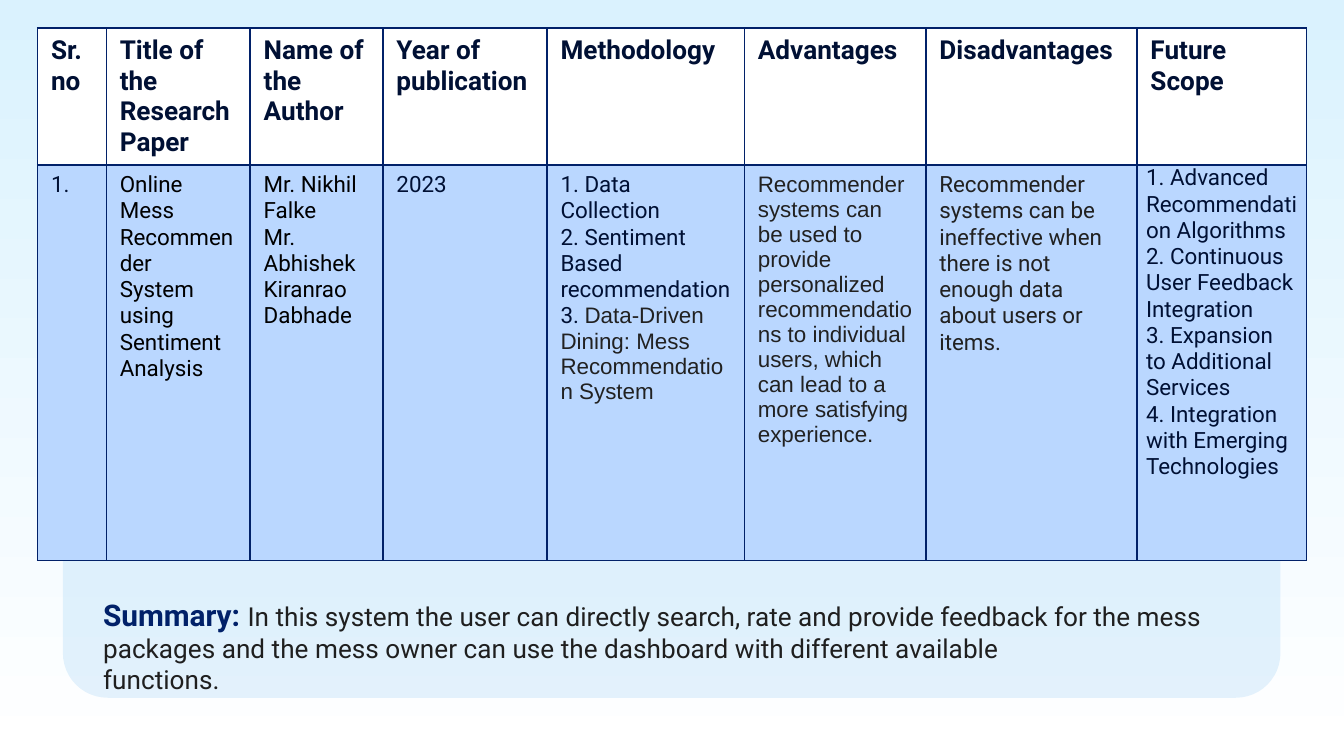
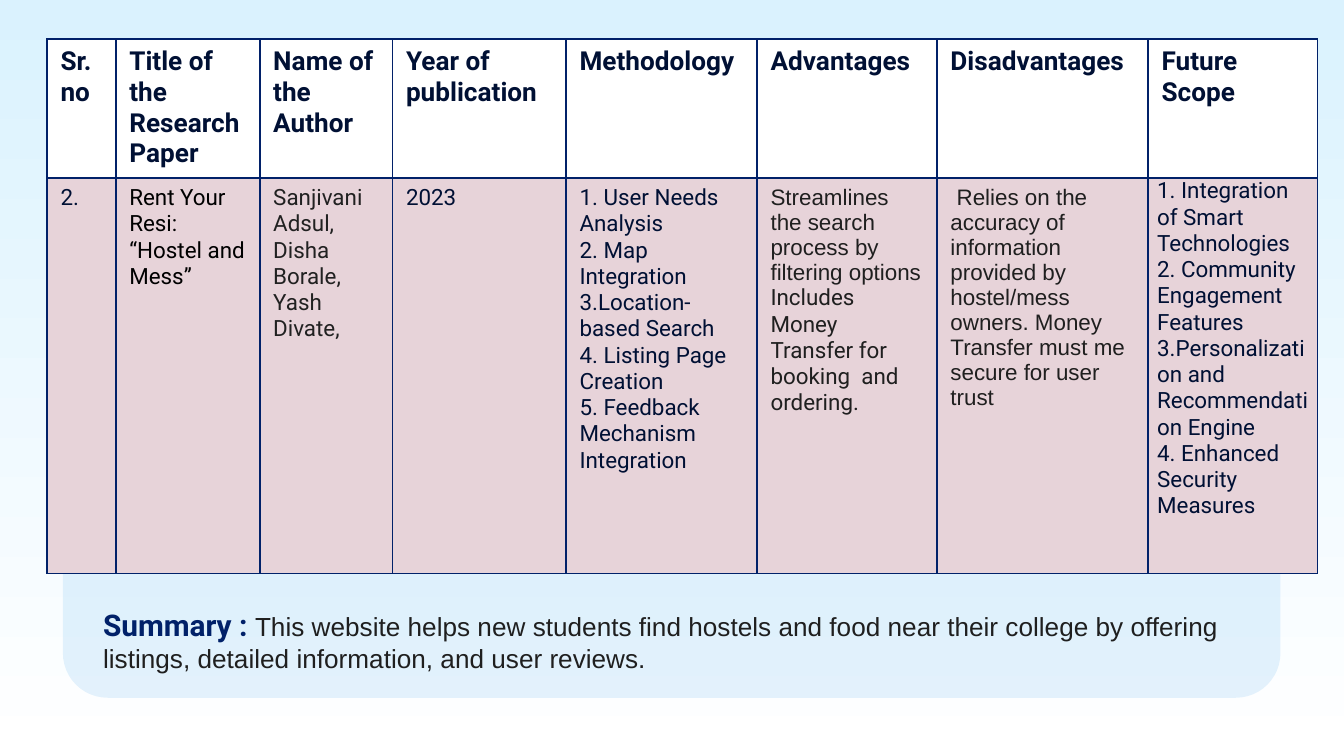
from dataclasses import dataclass

from lxml import etree
from pptx import Presentation
from pptx.dml.color import RGBColor
from pptx.enum.shapes import MSO_SHAPE
from pptx.enum.text import MSO_AUTO_SIZE, PP_ALIGN
from pptx.oxml.ns import qn
from pptx.util import Cm, Pt

ROUNDED = MSO_SHAPE.ROUNDED_RECTANGLE
GROW = MSO_AUTO_SIZE.SHAPE_TO_FIT_TEXT
JUSTIFY = PP_ALIGN.JUSTIFY

WHITE = RGBColor(0xFF, 0xFF, 0xFF)
BLACK = RGBColor(0x00, 0x00, 0x00)
SKY = RGBColor(0xDA, 0xF2, 0xFE)
PANEL_BLUE = RGBColor(0x03, 0x88, 0xE5)
NAVY = RGBColor(0x01, 0x21, 0x69)
INK = RGBColor(0x00, 0x10, 0x34)
GREY = RGBColor(0x21, 0x21, 0x21)
DARK_GREY = RGBColor(0x1F, 0x1F, 0x1F)
ROW_BLUE = RGBColor(0xBA, 0xD7, 0xFF)
ROW_PINK = RGBColor(0xE7, 0xD3, 0xD9)


@dataclass(frozen=True)
class Style:
    color: RGBColor
    name: str = "Roboto"
    size: float = 12
    bold: bool = False


@dataclass(frozen=True)
class Run:
    text: str
    style: Style


Lines = list[list[Run]]


@dataclass(frozen=True)
class PaperReview:
    """One reviewed paper; positions and sizes are in centimetres."""
    table_at: tuple[float, float]
    columns: list[float]
    rows: list[float]
    row_color: RGBColor
    cells: list[Lines]
    summary_box: tuple[float, float, float, float]
    summary: Lines


HEADER = Style(INK, size=14, bold=True)
BODY = Style(INK)
BODY_BLACK = Style(BLACK)
BODY_GREY = Style(GREY)
BODY_DARK = Style(DARK_GREY)
ARIAL_GREY = Style(GREY, "Arial")
ARIAL_DARK = Style(DARK_GREY, "Arial")
SUMMARY_LABEL = Style(NAVY, size=16, bold=True)
SUMMARY_TEXT = Style(DARK_GREY, size=14)
SUMMARY_ARIAL = Style(DARK_GREY, "Arial", 14)


def lines(style: Style, *texts: str) -> Lines:
    return [[Run(text, style)] for text in texts]


HEADINGS = ["Sr.no", "Title of the Research Paper", "Name of the Author",
            "Year of publication", "Methodology", "Advantages",
            "Disadvantages", "Future Scope"]

REVIEWS = [
    PaperReview(
        table_at=(0.71, 0.53),
        columns=[1.3, 2.72, 2.51, 3.1, 3.73, 3.43, 3.99, 3.2],
        rows=[2.41, 7.47],
        row_color=ROW_BLUE,
        cells=[
            lines(BODY, "1."),
            lines(BODY_BLACK, "Online Mess Recommender",
                  "System using Sentiment Analysis"),
            lines(BODY_BLACK, "Mr. Nikhil Falke",
                  "Mr. Abhishek Kiranrao Dabhade"),
            lines(BODY, "2023"),
            lines(BODY, "1. Data Collection",
                  "2. Sentiment Based recommendation")
            + [[Run("3. ", BODY),
                Run("Data-Driven Dining: Mess Recommendation System",
                    ARIAL_GREY)]],
            lines(ARIAL_GREY,
                  "Recommender systems can be used to provide personalized "
                  "recommendations to individual users, which can lead to a "
                  "more satisfying experience."),
            lines(BODY_GREY,
                  "Recommender systems can be ineffective when there is not "
                  "enough data about users or items."),
            lines(BODY, "1. Advanced Recommendation Algorithms",
                  "2. Continuous User Feedback Integration",
                  "3. Expansion to Additional Services",
                  "4. Integration with Emerging Technologies"),
        ],
        summary_box=(1.7, 11.15, 22.61, 2.74),
        summary=[
            [Run("Summary: ", SUMMARY_LABEL),
             Run("In this system the user can directly search, rate and "
                 "provide feedback for the mess packages and the mess owner "
                 "can use the dashboard with different available",
                 SUMMARY_TEXT)],
            [Run("functions.", SUMMARY_TEXT)],
        ],
    ),
    PaperReview(
        table_at=(0.89, 0.74),
        columns=[1.3, 2.72, 2.51, 3.28, 3.61, 3.4, 3.99, 3.2],
        rows=[2.59, 7.47],
        row_color=ROW_PINK,
        cells=[
            lines(BODY, "2."),
            lines(BODY_BLACK, "Rent Your Resi: “Hostel and Mess”"),
            lines(BODY_GREY, "Sanjivani Adsul,", "Disha Borale,",
                  "Yash Divate,"),
            lines(BODY, "2023"),
            lines(BODY, "1. User Needs Analysis", "2. Map Integration",
                  "3.Location-based Search", "4. Listing Page Creation",
                  "5. Feedback Mechanism Integration"),
            lines(ARIAL_DARK,
                  "Streamlines the search process by filtering options")
            + lines(BODY_DARK,
                    "Includes Money Transfer for booking  and ordering."),
            lines(ARIAL_DARK,
                  " Relies on the accuracy of information provided by "
                  "hostel/mess owners. Money Transfer must me secure for "
                  "user trust"),
            lines(BODY, "1. Integration of Smart Technologies",
                  "2. Community Engagement Features",
                  "3.Personalization and Recommendation Engine",
                  "4. Enhanced Security Measures"),
        ],
        summary_box=(1.7, 11.35, 21.79, 2.9),
        summary=[
            [Run("Summary : ", SUMMARY_LABEL),
             Run("This website helps new students find hostels and food near "
                 "their college by offering listings, detailed information, "
                 "and user reviews.", SUMMARY_ARIAL)],
        ],
    ),
]


def apply_style(font, style: Style) -> None:
    font.name = style.name
    font.size = Pt(style.size)
    font.bold = style.bold
    font.color.rgb = style.color


def write_lines(text_frame, content: Lines) -> None:
    for index, runs in enumerate(content):
        paragraph = (text_frame.add_paragraph() if index
                     else text_frame.paragraphs[0])
        shared = len({run.style for run in runs}) == 1
        if shared:
            apply_style(paragraph.font, runs[0].style)
        for run in runs:
            text_run = paragraph.add_run()
            text_run.text = run.text
            if not shared:
                apply_style(text_run.font, run.style)


def add_borders(cell) -> None:
    properties = cell._tc.get_or_add_tcPr()
    for side in ("lnL", "lnR", "lnT", "lnB"):
        line = etree.SubElement(properties, qn(f"a:{side}"), w=str(Pt(1)))
        fill = etree.SubElement(line, qn("a:solidFill"))
        etree.SubElement(fill, qn("a:srgbClr"), val=str(NAVY))


def set_background(master) -> None:
    fill = master.background.fill
    fill.gradient()
    fill.gradient_angle = 90
    for stop, color in zip(fill.gradient_stops, (WHITE, SKY)):
        stop.color.rgb = color


def add_panel(slide) -> None:
    panel = slide.shapes.add_shape(ROUNDED, Cm(1.19), Cm(1.12),
                                   Cm(23.01), Cm(12.07))
    panel.adjustments[0] = 0.07
    panel.shadow.inherit = False
    panel.line.fill.background()
    panel.fill.solid()
    panel.fill.fore_color.rgb = PANEL_BLUE
    color = panel._element.spPr.find(f".//{qn('a:srgbClr')}")
    etree.SubElement(color, qn("a:alpha"), val="10000")


def add_review_table(slide, review: PaperReview) -> None:
    left, top = review.table_at
    frame = slide.shapes.add_table(
        len(review.rows), len(review.columns), Cm(left), Cm(top),
        Cm(sum(review.columns)), Cm(sum(review.rows)))
    table = frame.table
    table.first_row = False
    table.horz_banding = False
    for column, width in zip(table.columns, review.columns):
        column.width = Cm(width)
    for row, height in zip(table.rows, review.rows):
        row.height = Cm(height)

    header = [lines(HEADER, heading) for heading in HEADINGS]
    for row_index, (contents, color) in enumerate(
            [(header, WHITE), (review.cells, review.row_color)]):
        for column_index, content in enumerate(contents):
            cell = table.cell(row_index, column_index)
            add_borders(cell)
            cell.fill.solid()
            cell.fill.fore_color.rgb = color
            write_lines(cell.text_frame, content)

    # The serial number is justified, the future scope sits tight
    table.cell(1, 0).text_frame.paragraphs[0].alignment = JUSTIFY
    scope = table.cell(1, len(HEADINGS) - 1)
    scope.margin_left = scope.margin_right = Cm(0.17)
    scope.margin_top = scope.margin_bottom = Cm(0)


def add_summary(slide, review: PaperReview) -> None:
    box = slide.shapes.add_textbox(*(Cm(v) for v in review.summary_box))
    box.text_frame.word_wrap = True
    box.text_frame.auto_size = GROW
    write_lines(box.text_frame, review.summary)


def main() -> None:
    presentation = Presentation()
    presentation.slide_width = Cm(25.4)
    presentation.slide_height = Cm(14.29)
    set_background(presentation.slide_master)
    blank = presentation.slide_layouts[6]
    for review in REVIEWS:
        slide = presentation.slides.add_slide(blank)
        add_panel(slide)
        add_review_table(slide, review)
        add_summary(slide, review)
    presentation.save("out.pptx")


if __name__ == "__main__":
    main()
